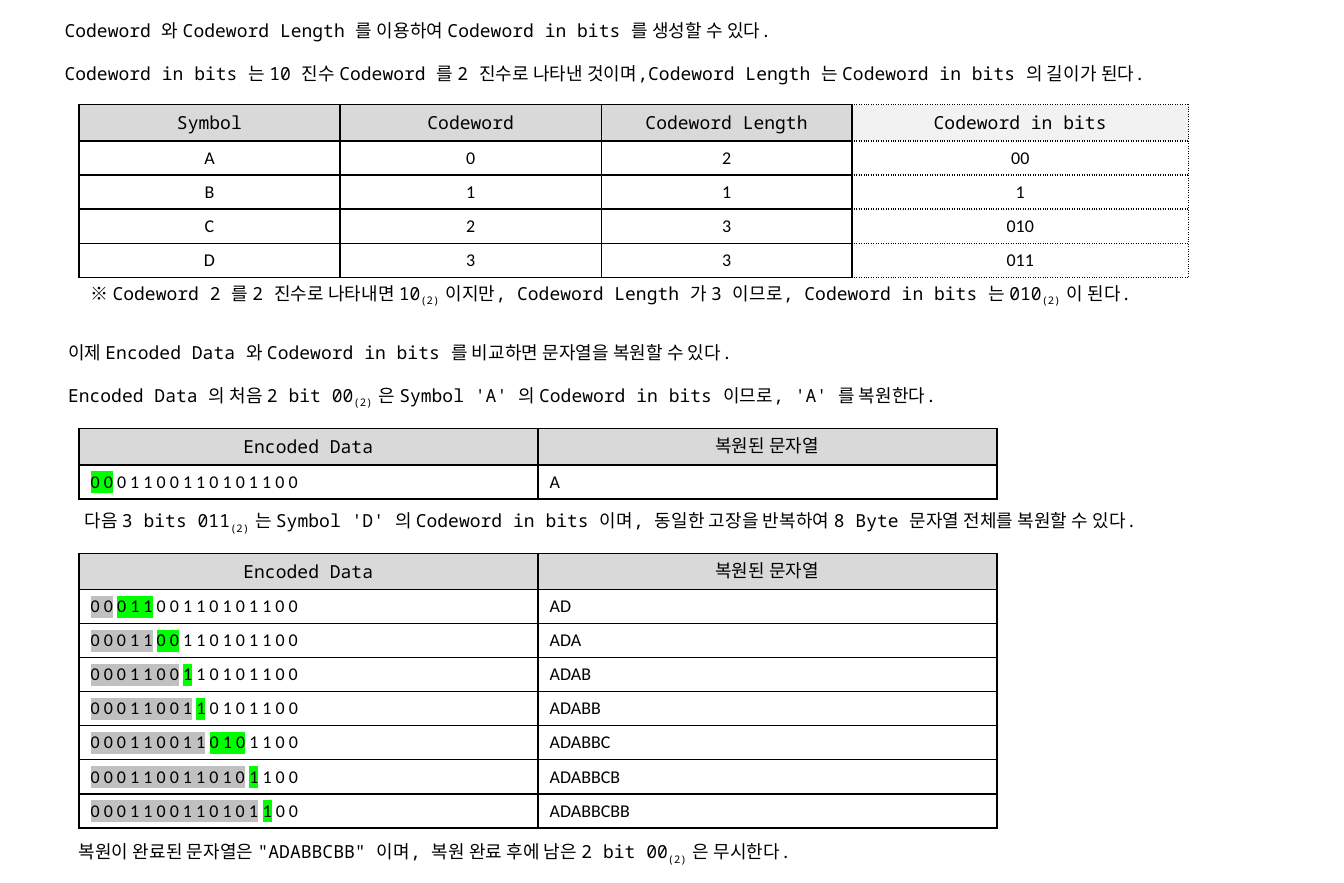
from dataclasses import dataclass

from lxml import etree
from pptx import Presentation
from pptx.dml.color import RGBColor
from pptx.enum.text import MSO_ANCHOR, MSO_AUTO_SIZE, PP_ALIGN
from pptx.oxml.ns import qn
from pptx.util import Inches, Pt

MIDDLE = MSO_ANCHOR.MIDDLE
GROW = MSO_AUTO_SIZE.SHAPE_TO_FIT_TEXT
CENTER, LEFT = PP_ALIGN.CENTER, PP_ALIGN.LEFT


@dataclass(frozen=True)
class Theme:
    ink: str = "000000"
    header: str = "D9D9D9"
    derived: str = "F2F2F2"
    done: str = "C0C0C0"
    current: str = "00FF00"
    mono: str = "Noto Sans Mono"
    body: str = "Calibri"
    symbol: str = "Noto Sans CJK KR"
    size: int = 11
    gap: int = 13
    border: int = 1


THEME = Theme()

# Content
SUBSCRIPT = "(2) "
NOTE_MARK = "※ "
NOTES = [  # left, top, width, height, paragraphs
    (0.45, 0.12, 10.18, 0.66, [
        "Codeword 와 Codeword Length 를 이용하여 Codeword in bits 를 생성할 수 있다.",
        "Codeword in bits 는 10 진수 Codeword 를 2 진수로 나타낸 것이며,"
        "Codeword Length 는 Codeword in bits 의 길이가 된다."]),
    (0.67, 2.35, 10.18, 0.29, [
        "※ Codeword 2 를 2 진수로 나타내면 10(2) 이지만, Codeword Length 가 3 이므로, "
        "Codeword in bits 는 010(2) 이 된다."]),
    (0.48, 2.85, 10.23, 0.66, [
        "이제 Encoded Data 와 Codeword in bits 를 비교하면 문자열을 복원할 수 있다.",
        "Encoded Data 의 처음 2 bit 00(2) 은 Symbol 'A' 의 Codeword in bits 이므로, "
        "'A' 를 복원한다."]),
    (0.62, 4.28, 10.18, 0.29, [
        "다음 3 bits 011(2) 는 Symbol 'D' 의 Codeword in bits 이며, 동일한 고장을 "
        "반복하여 8 Byte 문자열 전체를 복원할 수 있다."]),
    (0.57, 7.09, 10.18, 0.29, [
        '복원이 완료된 문자열은 "ADABBCBB" 이며, 복원 완료 후에 남은 2 bit 00(2) 은 무시한다.']),
]
CODE_HEADER = ["Symbol", "Codeword", "Codeword Length", "Codeword in bits"]
CODES = {"A": "00", "B": "1", "C": "010", "D": "011"}
DECODE_HEADER = ["Encoded Data", "복원된 문자열"]
ENCODED = "0001100110101100"
DECODED = "ADABBCBB"

TABLE_LEFT = 0.67
ROW_SPAN = 1.42 / 5
CODE_TOP, CODE_COLS = 0.89, [2.22, 2.22, 2.13, 2.86]
DECODE_COLS = [3.9, 3.9]
FIRST_TOP, REST_TOP = 3.64, 4.7


def add_run(p, text, font, highlight=None, subscript=False):
    r = p.add_run()
    r.text = text
    r.font.size = Pt(THEME.size)
    r.font.color.rgb = RGBColor.from_string(THEME.ink)
    r.font.name = font
    rPr = r._r.get_or_add_rPr()
    east_asian = THEME.symbol if font == THEME.symbol else THEME.body
    etree.SubElement(rPr, qn("a:ea")).set("typeface", east_asian)
    if subscript:
        rPr.set("baseline", "-25000")
    if highlight:
        mark = etree.Element(qn("a:highlight"))
        etree.SubElement(mark, qn("a:srgbClr")).set("val", highlight)
        rPr.find(qn("a:solidFill")).addnext(mark)


def add_note(s, left, top, width, height, paragraphs):
    box = s.shapes.add_textbox(*map(Inches, (left, top, width, height)))
    tf = box.text_frame
    tf.word_wrap = True
    tf.auto_size = GROW
    for i, text in enumerate(paragraphs):
        p = tf.add_paragraph() if i else tf.paragraphs[0]
        if i:
            p.space_before = Pt(THEME.gap)
        if text.startswith(NOTE_MARK):
            add_run(p, NOTE_MARK, THEME.symbol)
            text = text.removeprefix(NOTE_MARK)
        for j, part in enumerate(text.split(SUBSCRIPT)):
            if j:
                add_run(p, SUBSCRIPT, THEME.mono, subscript=True)
            add_run(p, part, THEME.mono)


def set_borders(cell, dotted_sides):
    tcPr = cell._tc.get_or_add_tcPr()
    for side in "LRTB":
        ln = etree.SubElement(tcPr, qn(f"a:ln{side}"), w=str(Pt(THEME.border)))
        fill = etree.SubElement(ln, qn("a:solidFill"))
        etree.SubElement(fill, qn("a:srgbClr")).set("val", THEME.ink)
        dash = "sysDot" if side in dotted_sides else "solid"
        etree.SubElement(ln, qn("a:prstDash")).set("val", dash)


def add_grid(s, top, cols, header, rows, align, derived_col=None):
    """Add a table whose body cells are lists of (text, highlight) runs."""
    count = len(rows) + 1
    frame = s.shapes.add_table(count, len(cols), Inches(TABLE_LEFT), Inches(top),
                               Inches(sum(cols)), Inches(ROW_SPAN * count))
    table = frame.table
    table.first_row = table.horz_banding = False
    for column, width in zip(table.columns, cols):
        column.width = Inches(width)
    for i, row in enumerate([[[(text, None)] for text in header]] + rows):
        for j, runs in enumerate(row):
            cell = table.cell(i, j)
            cell.vertical_anchor = MIDDLE
            set_borders(cell, "RTB" if j == derived_col else "")
            if i:
                cell.fill.background()
            else:
                cell.fill.solid()
                shade = THEME.derived if j == derived_col else THEME.header
                cell.fill.fore_color.rgb = RGBColor.from_string(shade)
            p = cell.text_frame.paragraphs[0]
            p.alignment = align if i else CENTER
            for text, highlight in runs:
                add_run(p, text, THEME.body if i else THEME.mono, highlight)


def decode_steps():
    """Return one row per decoded symbol: marked bits and the string so far."""
    steps, start = [], 0
    for n, symbol in enumerate(DECODED, 1):
        end = start + len(CODES[symbol])
        runs = [(" ".join(ENCODED[:start]), THEME.done), (" ", None)] if start else []
        runs += [(" ".join(ENCODED[start:end]), THEME.current),
                 (" " + " ".join(ENCODED[end:]), None)]
        steps.append([runs, [(DECODED[:n], None)]])
        start = end
    return steps


def main():
    prs = Presentation()
    prs.slide_width, prs.slide_height = Inches(11.42), Inches(7.5)
    s = prs.slides.add_slide(prs.slide_layouts[6])

    code_rows = [[[(str(text), None)] for text in (symbol, n, len(bits), bits)]
                 for n, (symbol, bits) in enumerate(CODES.items())]
    add_grid(s, CODE_TOP, CODE_COLS, CODE_HEADER, code_rows, CENTER, derived_col=3)

    steps = decode_steps()
    for top, rows in ((FIRST_TOP, steps[:1]), (REST_TOP, steps[1:])):
        add_grid(s, top, DECODE_COLS, DECODE_HEADER, rows, LEFT)

    for note in NOTES:
        add_note(s, *note)
    prs.save("out.pptx")


if __name__ == "__main__":
    main()
